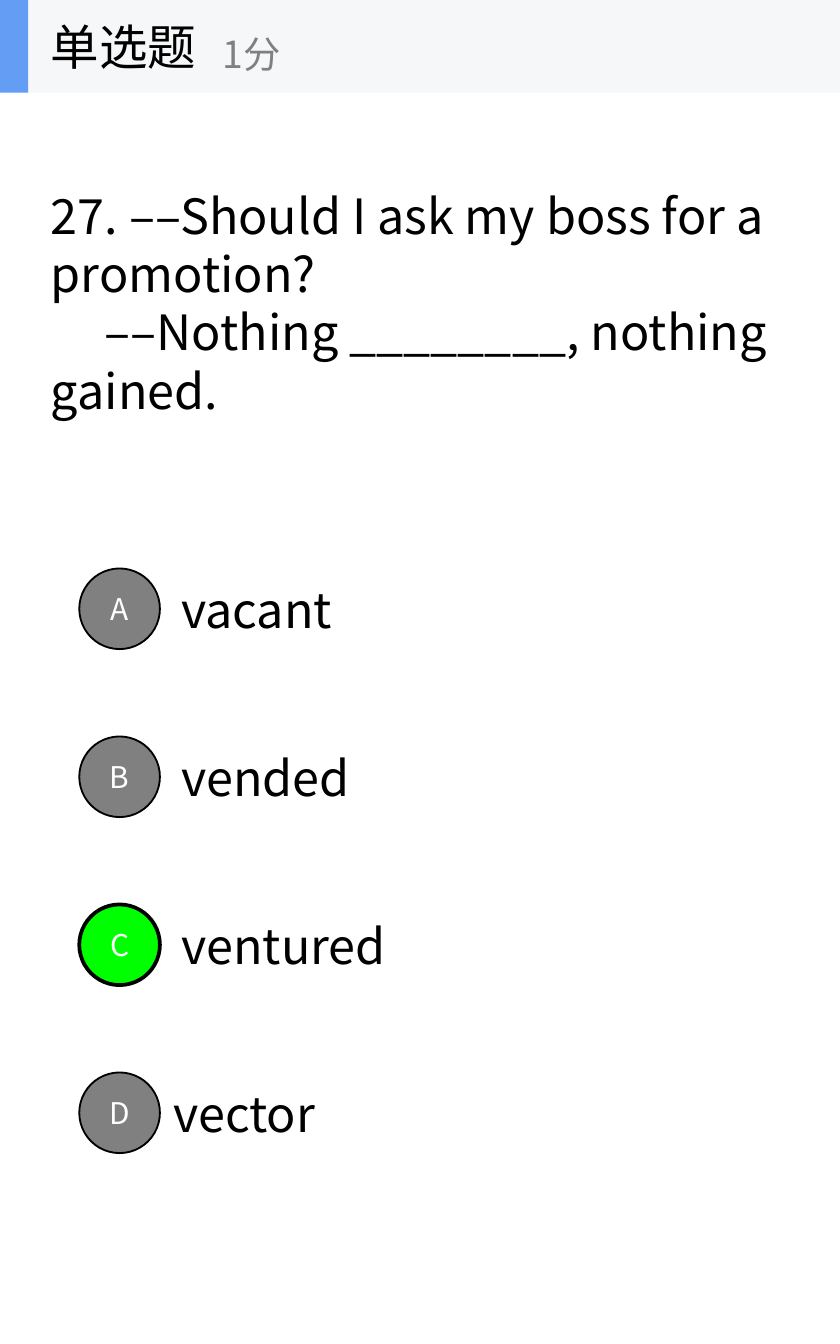
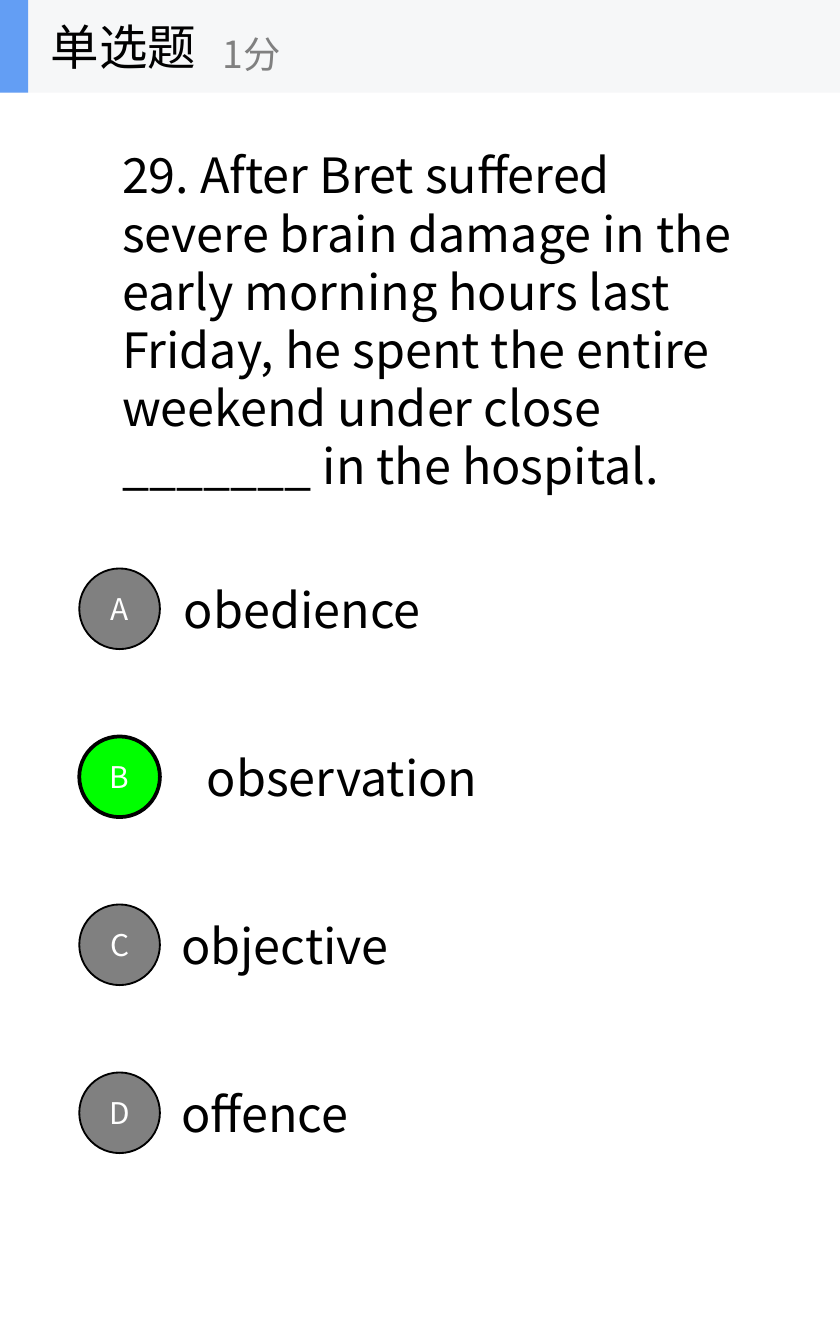
from dataclasses import dataclass

from lxml import etree
from pptx import Presentation
from pptx.dml.color import RGBColor
from pptx.enum.shapes import MSO_SHAPE
from pptx.enum.text import MSO_ANCHOR, PP_ALIGN
from pptx.oxml.ns import qn
from pptx.util import Inches, Pt

RECT, OVAL = MSO_SHAPE.RECTANGLE, MSO_SHAPE.OVAL
MIDDLE = MSO_ANCHOR.MIDDLE
LEFT, CENTER = PP_ALIGN.LEFT, PP_ALIGN.CENTER

FONT = "Noto Sans CJK SC"
BLACK, WHITE, GRAY = "000000", "FFFFFF", "808080"
BAND, BLUE, GREEN = "F6F7F8", "639EF4", "00FF00"

# Option rows, in inches
ROW_TOP, ROW_STEP, ROW_WIDTH, ROW_HEIGHT = 4.06, 1.25, 4.38, 0.94
BADGE_LEFT, BADGE_SIZE = 0.59, 0.6
BADGE_DROP = (ROW_HEIGHT - BADGE_SIZE) / 2


@dataclass(frozen=True)
class Box:
    left: float
    top: float
    width: float
    height: float

    def lengths(self) -> tuple:
        return tuple(map(Inches, (self.left, self.top, self.width, self.height)))


@dataclass(frozen=True)
class Line:
    text: str
    indent: float = 0


@dataclass(frozen=True)
class Option:
    text: str
    left: float = 1.25


@dataclass(frozen=True)
class Question:
    box: Box
    lines: tuple[Line, ...]
    options: tuple[Option, ...]
    answer: str


QUESTIONS = (
    Question(
        Box(0.28, 0.69, 5.58, 3.12),
        (Line("27. ––Should I ask my boss for a promotion?"),
         Line("––Nothing ________, nothing gained.", 0.4)),
        (Option("vacant"), Option("vended"), Option("ventured"),
         Option("vector", 1.19)),
        "C",
    ),
    Question(
        Box(0.81, 0.82, 5, 3.12),
        (Line("29. After Bret suffered severe brain damage in the early "
              "morning hours last Friday, he spent the entire weekend under "
              "close _______ in the hospital."),),
        (Option("obedience", 1.27), Option("observation", 1.44),
         Option("objective"), Option("offence")),
        "B",
    ),
)


def color(code: str) -> RGBColor:
    return RGBColor.from_string(code)


def write(frame, lines: tuple[Line, ...], size: float = 26,
          ink: str = BLACK, align=LEFT, wrap: bool = True) -> None:
    frame.word_wrap = wrap
    frame.vertical_anchor = MIDDLE
    for i, line in enumerate(lines):
        para = frame.add_paragraph() if i else frame.paragraphs[0]
        para.alignment = align
        if line.indent:
            para._p.get_or_add_pPr().set("indent", str(Inches(line.indent)))
        run = para.add_run()
        run.text = line.text
        font = run.font
        font.name, font.size = FONT, Pt(size)
        font.color.rgb = color(ink)
        # East Asian glyphs need their own typeface entry
        east = etree.SubElement(run._r.get_or_add_rPr(), qn("a:ea"))
        east.set("typeface", FONT)


def label(shapes, box: Box, lines: tuple[Line, ...], **style) -> None:
    write(shapes.add_textbox(*box.lengths()).text_frame, lines, **style)


def block(shapes, kind, box: Box, fill: str, border: float = 0):
    shape = shapes.add_shape(kind, *box.lengths())
    shape.shadow.inherit = False
    shape.fill.solid()
    shape.fill.fore_color.rgb = color(fill)
    if border:
        shape.line.color.rgb = color(BLACK)
        shape.line.width = Pt(border)
    else:
        shape.line.fill.background()
    return shape


def badge(shapes, letter: str, top: float, right: bool) -> None:
    box = Box(BADGE_LEFT, top, BADGE_SIZE, BADGE_SIZE)
    fill, border = (GREEN, 2) if right else (GRAY, 1)
    frame = block(shapes, OVAL, box, fill, border).text_frame
    frame.margin_left = frame.margin_right = 0
    frame.margin_top = frame.margin_bottom = 0
    write(frame, (Line(letter),), size=16, ink=WHITE, align=CENTER)


def header(slide) -> None:
    shapes = slide.shapes.add_group_shape().shapes
    block(shapes, RECT, Box(0, 0, 6.25, 0.69), BAND)
    block(shapes, RECT, Box(0, 0, 0.21, 0.69), BLUE)
    label(shapes, Box(0.28, 0, 2.08, 0.69), (Line("单选题"),), wrap=False)
    label(shapes, Box(1.56, 0.12, 2.5, 0.56), (Line("1分"),),
          size=20, ink=GRAY, wrap=False)


def draw(slide, quiz: Question) -> None:
    shapes = slide.shapes
    label(shapes, quiz.box, quiz.lines)
    # Options with their lettered badges
    for i, (letter, option) in enumerate(zip("ABCD", quiz.options)):
        top = ROW_TOP + i * ROW_STEP
        label(shapes, Box(option.left, top, ROW_WIDTH, ROW_HEIGHT),
              (Line(option.text),))
        badge(shapes, letter, top + BADGE_DROP, letter == quiz.answer)
    header(slide)


def main() -> None:
    deck = Presentation()
    deck.slide_width, deck.slide_height = Inches(6.25), Inches(10)
    blank = deck.slide_layouts[6]
    for quiz in QUESTIONS:
        draw(deck.slides.add_slide(blank), quiz)
    deck.save("out.pptx")


if __name__ == "__main__":
    main()
